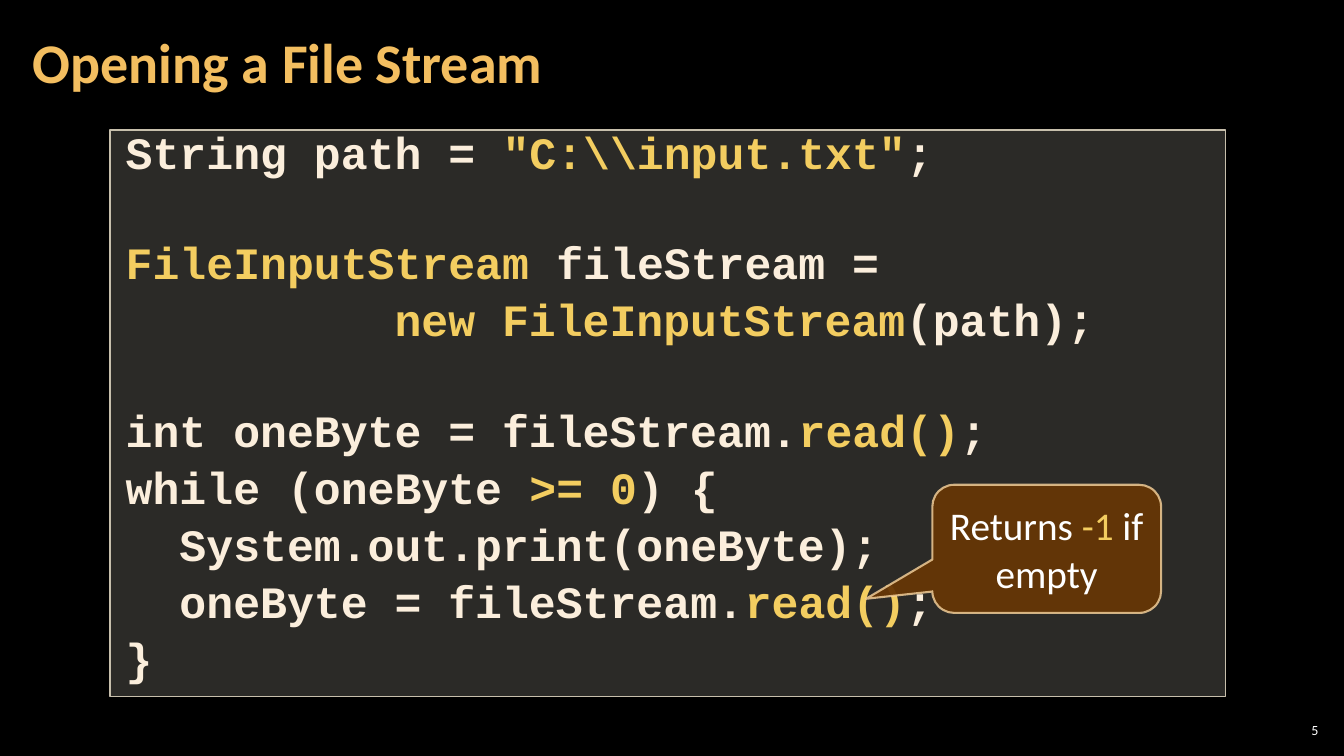
"""Build the slide on opening a file stream, with a code panel and a callout."""
from dataclasses import dataclass

from lxml import etree
from pptx import Presentation
from pptx.dml.color import RGBColor
from pptx.enum.shapes import MSO_SHAPE
from pptx.enum.text import MSO_ANCHOR, PP_ALIGN
from pptx.oxml.ns import qn
from pptx.util import Pt

RECTANGLE = MSO_SHAPE.RECTANGLE
CALLOUT = MSO_SHAPE.ROUNDED_RECTANGULAR_CALLOUT
MIDDLE, BOTTOM = MSO_ANCHOR.MIDDLE, MSO_ANCHOR.BOTTOM
LEFT, CENTER, RIGHT = PP_ALIGN.LEFT, PP_ALIGN.CENTER, PP_ALIGN.RIGHT

BLACK, WHITE = "000000", "FFFFFF"
GOLD, CREAM, AMBER = "F3CD60", "FBEEDC", "F3BE60"
CODE_SIZE = 32
CODE_SPACING = 1.06
CHAR_WIDTH = 0.6 * CODE_SIZE
CODE_LINE = 38.4


@dataclass(frozen=True)
class Run:
    text: str
    color: str = CREAM


@dataclass(frozen=True)
class Line:
    runs: tuple[Run, ...]
    indent_chars: int = 0
    gap_lines: int = 0


@dataclass(frozen=True)
class TextStyle:
    font: str
    size: float
    bold: bool
    align: PP_ALIGN
    anchor: MSO_ANCHOR
    spacing: float
    insets: tuple[float, float]


@dataclass(frozen=True)
class Panel:
    preset: MSO_SHAPE
    box: tuple[float, float, float, float]
    fill: str
    fill_alpha: int
    line: str
    line_alpha: int
    line_width: float
    adjustments: tuple[float, ...] = ()


TITLE_STYLE = TextStyle("Calibri", 40, True, LEFT, MIDDLE, 0.9, (8.5, 2.83))
NUMBER_STYLE = TextStyle("Calibri", 10, False, RIGHT, MIDDLE, 1, (2.83, 2.83))
CODE_STYLE = TextStyle("Courier New", CODE_SIZE, True, LEFT, BOTTOM, CODE_SPACING, (11.34, 8.5))
NOTE_STYLE = TextStyle("Calibri", 28, False, CENTER, MIDDLE, 1, (7.2, 3.6))

CODE_PANEL = Panel(RECTANGLE, (78.5, 92.9, 797, 404.6), "D9D5C7", 20, "C7BFAC", 100, 1)
NOTE_PANEL = Panel(CALLOUT, (666, 346.3, 163.4, 91.5), "663606", 95, "F8D49E", 80, 1.5,
                   (-0.79, 0.39, 0.17))

READ_CALL = (Run("read()", GOLD), Run(";"))
CODE = (
    Line((Run("String path = "), Run('"C:\\\\input.txt"', GOLD), Run(";"))),
    Line((Run("FileInputStream", GOLD), Run(" fileStream =")), gap_lines=1),
    Line((Run("new FileInputStream", GOLD), Run("(path);")), indent_chars=10),
    Line((Run("int oneByte = fileStream."), *READ_CALL), gap_lines=1),
    Line((Run("while (oneByte "), Run(">= 0", GOLD), Run(") {"))),
    Line((Run("System.out.print(oneByte);"),), indent_chars=2),
    Line((Run("oneByte = fileStream."), *READ_CALL), indent_chars=2),
    Line((Run("}"),)),
)
TITLE = (Line((Run("Opening a File Stream", AMBER),)),)
NUMBER = (Line((Run("5", WHITE),)),)
NOTE = (Line((Run("Returns ", WHITE), Run("-1", GOLD), Run(" if empty", WHITE))),)


def rgb(value: str) -> RGBColor:
    return RGBColor.from_string(value)


def set_alpha(parent, percent: int) -> None:
    color = parent.find(qn("a:solidFill")).find(qn("a:srgbClr"))
    etree.SubElement(color, qn("a:alpha")).set("val", str(percent * 1000))


def write_text(frame, lines: tuple[Line, ...], style: TextStyle) -> None:
    side, edge = (Pt(inset) for inset in style.insets)
    frame_format = {
        "word_wrap": True, "vertical_anchor": style.anchor,
        "margin_left": side, "margin_right": side,
        "margin_top": edge, "margin_bottom": edge,
    }
    for name, value in frame_format.items():
        setattr(frame, name, value)
    for index, line in enumerate(lines):
        paragraph = frame.add_paragraph() if index else frame.paragraphs[0]
        paragraph.alignment = style.align
        paragraph.line_spacing = style.spacing
        if line.gap_lines:
            paragraph.space_before = Pt(line.gap_lines * CODE_LINE)
        if line.indent_chars:
            indent = Pt(line.indent_chars * CHAR_WIDTH)
            paragraph._p.get_or_add_pPr().set("marL", str(indent))
        for part in line.runs:
            run = paragraph.add_run()
            run.text = part.text
            font_format = {"name": style.font, "size": Pt(style.size), "bold": style.bold}
            for name, value in font_format.items():
                setattr(run.font, name, value)
            run.font.color.rgb = rgb(part.color)


def add_label(slide, box: tuple[float, ...], lines: tuple[Line, ...], style: TextStyle) -> None:
    label = slide.shapes.add_textbox(*(Pt(length) for length in box))
    write_text(label.text_frame, lines, style)


def add_panel(slide, panel: Panel, lines: tuple[Line, ...], style: TextStyle) -> None:
    shape = slide.shapes.add_shape(panel.preset, *(Pt(length) for length in panel.box))
    for index, value in enumerate(panel.adjustments):
        shape.adjustments[index] = value
    shape.shadow.inherit = False
    shape.fill.solid()
    shape.fill.fore_color.rgb = rgb(panel.fill)
    shape.line.color.rgb = rgb(panel.line)
    shape.line.width = Pt(panel.line_width)
    properties = shape.element.spPr
    set_alpha(properties, panel.fill_alpha)
    set_alpha(properties.find(qn("a:ln")), panel.line_alpha)
    write_text(shape.text_frame, lines, style)


def main() -> None:
    deck = Presentation()
    deck.slide_width, deck.slide_height = Pt(960), Pt(540)
    slide = deck.slides.add_slide(deck.slide_layouts[6])
    slide.background.fill.solid()
    slide.background.fill.fore_color.rgb = rgb(BLACK)
    add_label(slide, (910.8, 514, 33.8, 15), NUMBER, NUMBER_STYLE)
    add_label(slide, (15, 2.9, 754, 87), TITLE, TITLE_STYLE)
    add_panel(slide, CODE_PANEL, CODE, CODE_STYLE)
    add_panel(slide, NOTE_PANEL, NOTE, NOTE_STYLE)
    deck.save("out.pptx")


if __name__ == "__main__":
    main()
